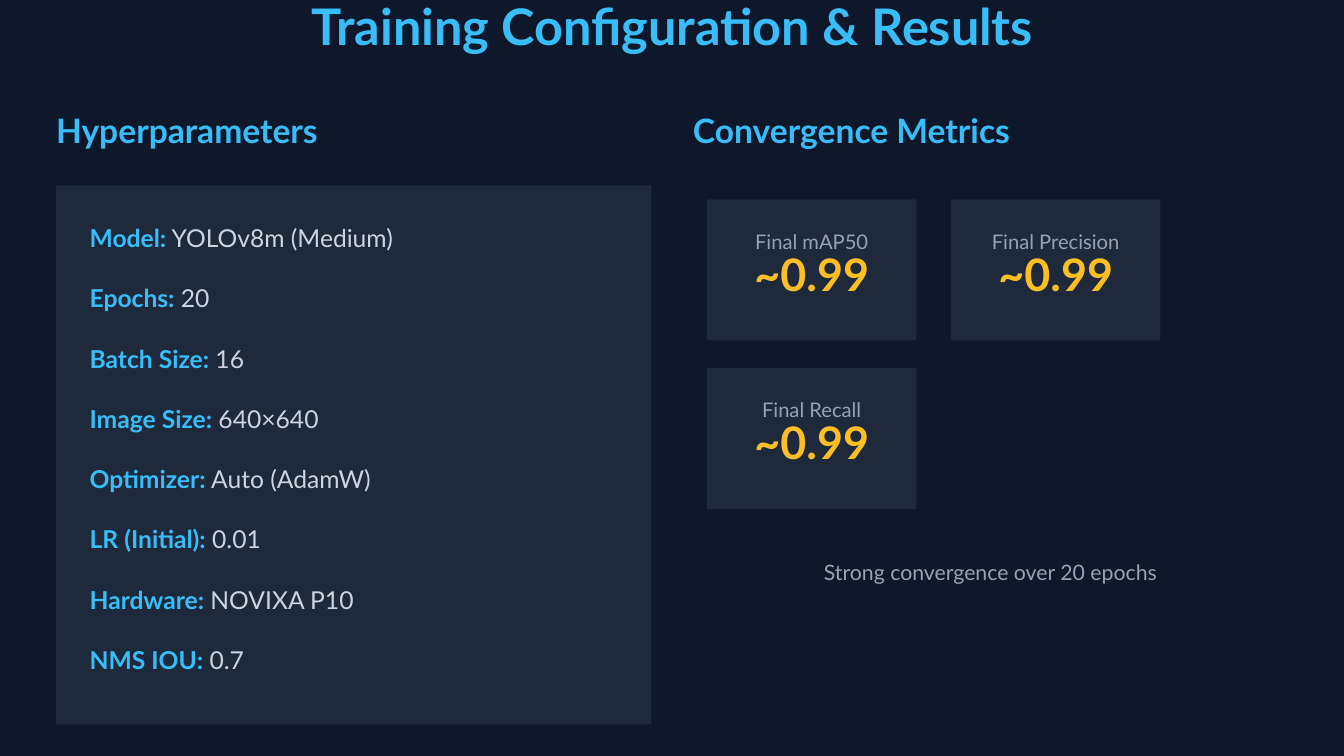
from pptx import Presentation
from pptx.dml.color import RGBColor
from pptx.enum.shapes import MSO_SHAPE as Shape
from pptx.enum.text import MSO_ANCHOR as Anchor, MSO_AUTO_SIZE as AutoSize, PP_ALIGN as Align
from pptx.oxml.ns import qn
from pptx.util import Inches, Pt

COLORS = {
    "background": "0F172A",
    "panel": "1E293B",
    "accent": "38BDF8",
    "text": "CBD5E1",
    "muted": "94A3B8",
    "value": "FBBF24",
}
FONT = "Lato"
GRID_COLUMNS = 100
COMPARISON_LAYOUT = 4

HYPERPARAMETERS = [
    ("Model:", "YOLOv8m (Medium)"),
    ("Epochs:", "20"),
    ("Batch Size:", "16"),
    ("Image Size:", "640×640"),
    ("Optimizer:", "Auto (AdamW)"),
    ("LR (Initial):", "0.01"),
    ("Hardware:", "NOVIXA P10"),
    ("NMS IOU:", "0.7"),
]
METRICS = [("Final mAP50", "~0.99"), ("Final Precision", "~0.99"), ("Final Recall", "~0.99")]


def color(name):
    return RGBColor.from_string(COLORS[name])


class SlideBuilder:
    def __init__(self, presentation):
        self.slide = presentation.slides.add_slide(presentation.slide_layouts[COMPARISON_LAYOUT])
        self.cell = presentation.slide_width / GRID_COLUMNS
        self.placeholders = {p.placeholder_format.idx: p for p in self.slide.placeholders}
        background = self.slide.background.fill
        background.solid()
        background.fore_color.rgb = color("background")

    def lengths(self, *cells):
        return [round(count * self.cell) for count in cells]

    def panel(self, *box):
        shape = self.slide.shapes.add_shape(Shape.RECTANGLE, *self.lengths(*box))
        shape.fill.solid()
        shape.fill.fore_color.rgb = color("panel")
        shape.line.fill.background()
        shape.shadow.inherit = False
        self.slide.shapes._spTree.insert(2, shape._element)

    def frame(self, shape):
        frame = shape.text_frame
        frame.word_wrap = True
        frame.auto_size = AutoSize.NONE
        frame.vertical_anchor = Anchor.TOP
        frame.margin_left = frame.margin_right = frame.margin_top = frame.margin_bottom = 0
        return frame

    def style(self, paragraph, size, spacing, tone, bold=False, align=Align.LEFT, after=0):
        paragraph.alignment = align
        paragraph.line_spacing = Pt(spacing)
        paragraph.space_before = Pt(0)
        paragraph.space_after = Pt(after)
        font = paragraph.font
        font.name, font.size, font.bold = FONT, Pt(size), bold
        font.color.rgb = color(tone)

    def text(self, words, box, size, spacing, tone, **options):
        shape = self.slide.shapes.add_textbox(*self.lengths(*box))
        paragraph = self.frame(shape).paragraphs[0]
        paragraph.text = words
        self.style(paragraph, size, spacing, tone, **options)

    def place(self, index, box):
        shape = self.placeholders[index]
        shape.left, shape.top, shape.width, shape.height = self.lengths(*box)
        return self.frame(shape)

    def heading(self, index, words, box, size, spacing, align=Align.LEFT):
        paragraph = self.place(index, box).paragraphs[0]
        paragraph.text = words
        self.style(paragraph, size, spacing, "accent", bold=True, align=align)

    def pairs(self, index, items, box):
        frame = self.place(index, box)
        for number, (name, value) in enumerate(items):
            paragraph = frame.add_paragraph() if number else frame.paragraphs[0]
            self.style(paragraph, 13.2, 21.1, "text", after=11.2)
            properties = paragraph._p.get_or_add_pPr()
            properties.set("marL", "0")
            properties.set("indent", "0")
            bullet = properties.makeelement(qn("a:buNone"), {})
            properties.find(qn("a:defRPr")).addprevious(bullet)
            label = paragraph.add_run()
            label.text = name
            label.font.bold = True
            label.font.color.rgb = color("accent")
            paragraph.add_run().text = f" {value}"

    def card(self, label, value, left, top):
        self.panel(left, top, 15.6, 10.5)
        self.text(label, (left + 2, top + 1.6, 11.6, 2.4), 10.8, 17.3, "muted", align=Align.CENTER)
        self.text(value, (left + 2, top + 4.5, 11.6, 4.4), 24, 21.6, "value",
                  bold=True, align=Align.CENTER)

    def remove_empty_placeholders(self):
        for shape in list(self.slide.placeholders):
            if not shape.text_frame.text:
                shape._element.getparent().remove(shape._element)


def main():
    presentation = Presentation()
    presentation.slide_width = Inches(10)
    presentation.slide_height = presentation.slide_width * 9 // 16
    builder = SlideBuilder(presentation)
    builder.heading(0, "Training Configuration & Results", (3.25, 0.8, 93.5, 5), 27, 24.3, Align.CENTER)
    builder.heading(1, "Hyperparameters", (4.17, 8.9, 45.2, 3.3), 18, 16.2)
    builder.heading(3, "Convergence Metrics", (51.56, 8.9, 45.2, 3.3), 18, 16.2)
    builder.panel(4.17, 13.8, 44.3, 40.1)
    builder.pairs(2, HYPERPARAMETERS, (6.67, 15.85, 40.5, 36))
    for number, (label, value) in enumerate(METRICS):
        row, column = divmod(number, 2)
        builder.card(label, value, 52.6 + 18.15 * column, 14.83 + 12.55 * row)
    builder.text("Strong convergence over 20 epochs", (51.1, 41, 45.2, 2.5), 11.4, 18.2,
                 "muted", align=Align.CENTER)
    builder.remove_empty_placeholders()
    presentation.save("out.pptx")


if __name__ == "__main__":
    main()
